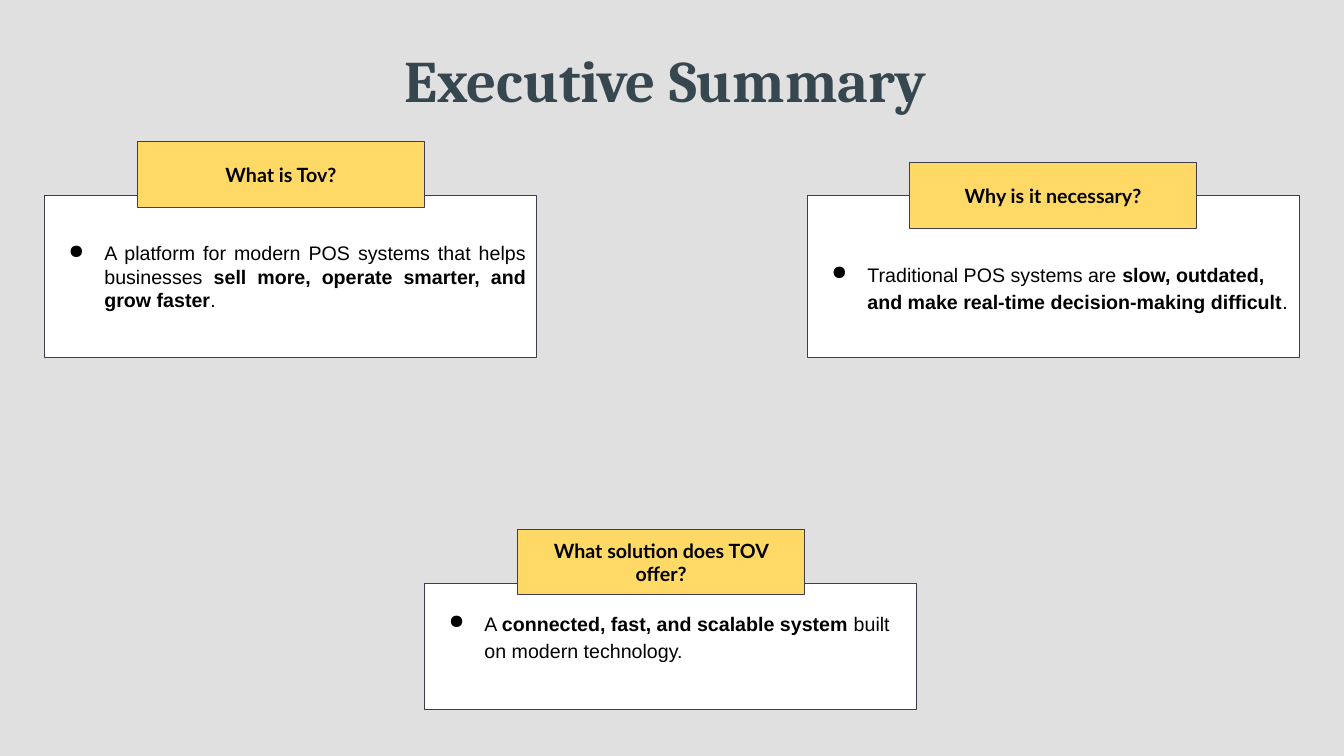
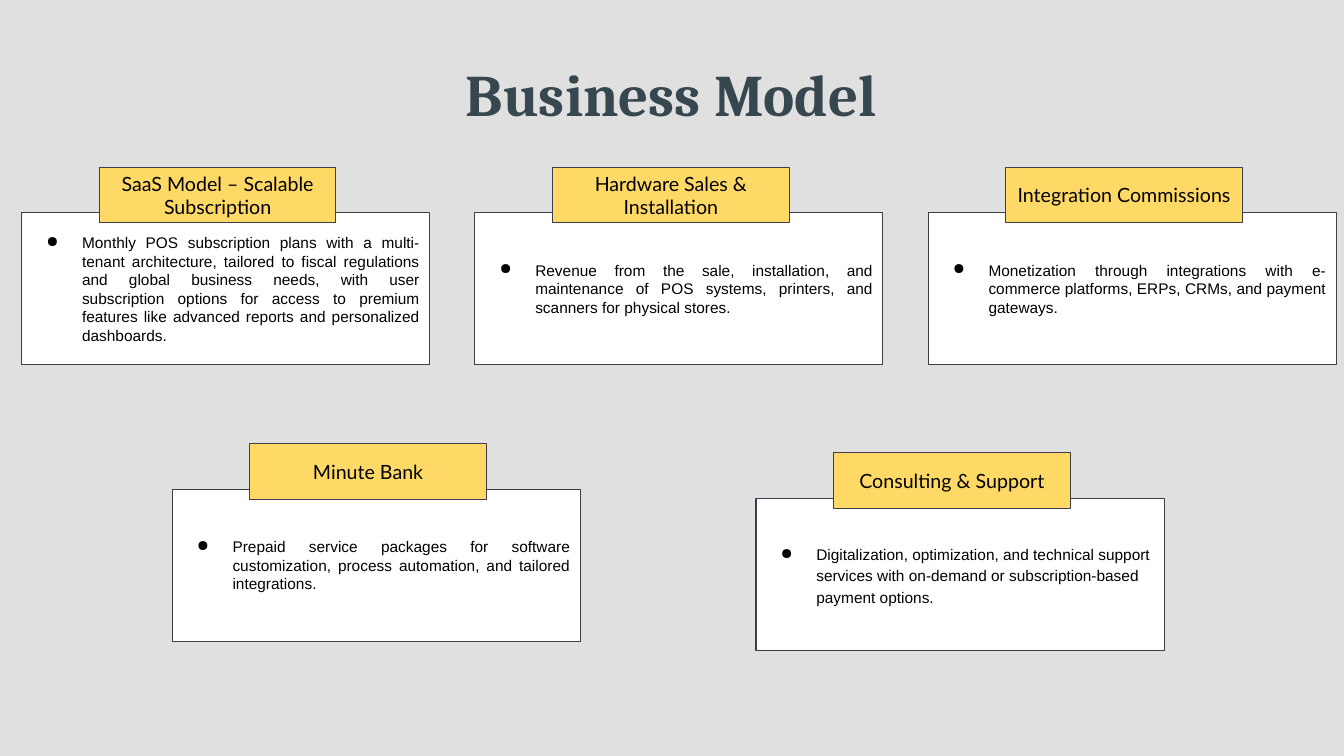
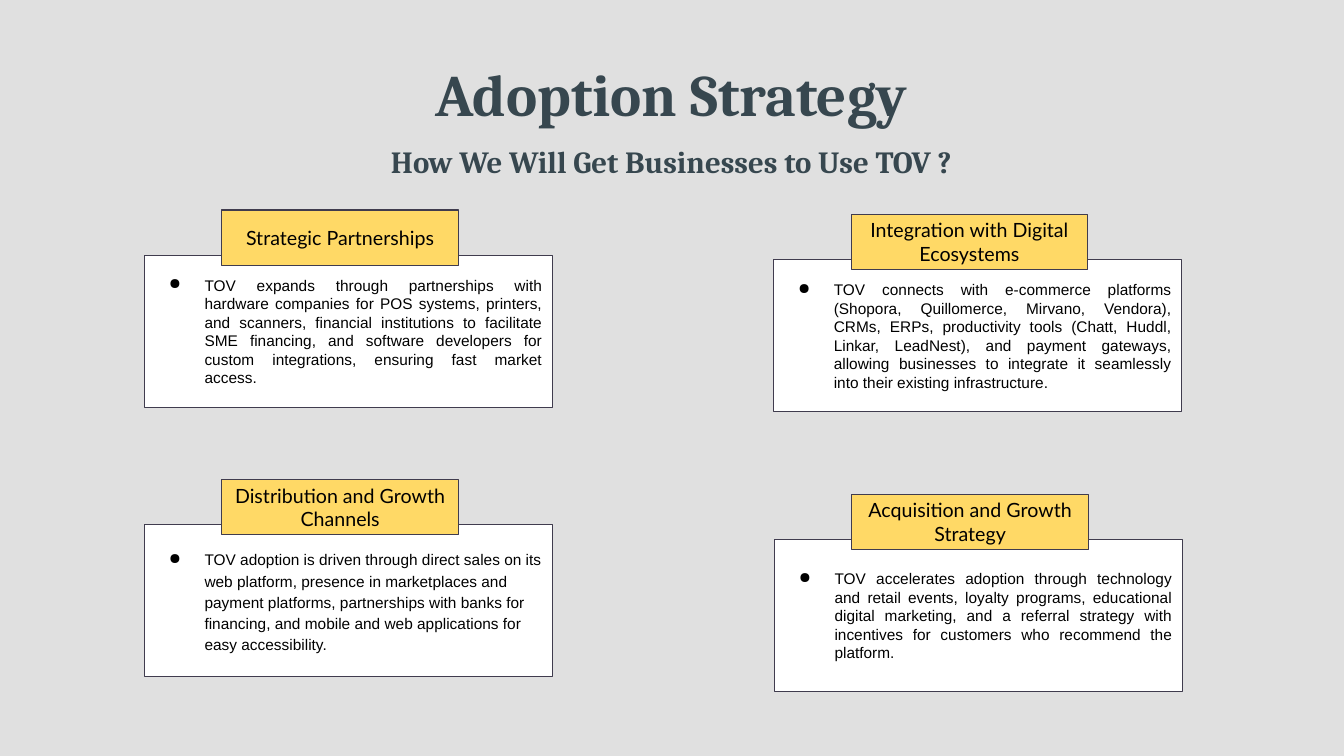
from pptx import Presentation
from pptx.dml.color import RGBColor
from pptx.enum.shapes import MSO_SHAPE
from pptx.enum.text import MSO_ANCHOR, PP_ALIGN
from pptx.oxml.ns import qn
from pptx.util import Pt
from lxml.etree import SubElement

BACKGROUND = RGBColor(0xE0, 0xE0, 0xE0)
SLATE = RGBColor(0x37, 0x47, 0x4F)
OUTLINE = RGBColor(0x40, 0x3C, 0x4E)
YELLOW = RGBColor(0xFF, 0xD9, 0x66)
WHITE = RGBColor(0xFF, 0xFF, 0xFF)
BLACK = RGBColor(0x00, 0x00, 0x00)

INSET = 7.2
LOOSE = 1.15
TITLE_BOX = (184, 34, 591, 62)
SUBTITLE_BOX = (184, 96.5, 591, 62)

SUMMARY_STYLE = {"tab_size": (204.5, 47), "size": 14, "bold_tab": True}
DETAIL_SIZE = (291.5, 108.5)
DETAIL_STYLE = {"tab_size": (169, 39.5), "size": 11, "bold_tab": False}
DETAIL_TAB = (55.5, -32.5)


def write_text(shape, runs, font="Arial", size=14, color=BLACK, bold=False,
               align=PP_ALIGN.LEFT, anchor=MSO_ANCHOR.MIDDLE, spacing=None,
               bullet=False, top=INSET, bottom=INSET):
    frame = shape.text_frame
    frame.word_wrap = True
    frame.vertical_anchor = anchor
    frame.margin_left = frame.margin_right = Pt(INSET)
    frame.margin_top, frame.margin_bottom = Pt(top), Pt(bottom)
    paragraph = frame.paragraphs[0]
    paragraph.alignment = align
    if spacing:
        paragraph.line_spacing = spacing
    if bullet:
        add_bullet(paragraph)
    for text, strong in [(runs, bold)] if isinstance(runs, str) else runs:
        run = paragraph.add_run()
        run.text = text
        run.font.name = font
        run.font.size = Pt(size)
        run.font.bold = strong
        run.font.color.rgb = color


def add_bullet(paragraph):
    properties = paragraph._p.get_or_add_pPr()
    properties.set("marL", str(Pt(36)))
    properties.set("indent", str(Pt(-25.5)))
    bullet_color = SubElement(properties, qn("a:buClr"))
    SubElement(bullet_color, qn("a:srgbClr")).set("val", str(BLACK))
    SubElement(properties, qn("a:buChar")).set("char", "●")


def add_heading(slide, box, text, size=42):
    shape = slide.shapes.add_textbox(*map(Pt, box))
    write_text(shape, text, font="Cambria", size=size, color=SLATE, bold=True,
               align=PP_ALIGN.CENTER, anchor=MSO_ANCHOR.TOP, spacing=1.07,
               top=3.6, bottom=3.6)


def add_panel(slide, box, fill):
    shape = slide.shapes.add_shape(MSO_SHAPE.RECTANGLE, *map(Pt, box))
    shape.shadow.inherit = False
    shape.fill.solid()
    shape.fill.fore_color.rgb = fill
    shape.line.color.rgb = OUTLINE
    shape.line.width = Pt(0.75)
    return shape


def add_card(slide, box, heading, body, tab_offset, tab_size, size, bold_tab,
             loose=False, top=INSET, bottom=INSET):
    panel = add_panel(slide, box, WHITE)
    write_text(panel, body, size=size, bullet=True, top=top, bottom=bottom,
               align=PP_ALIGN.LEFT if loose else PP_ALIGN.JUSTIFY,
               spacing=LOOSE if loose else None)
    tab_box = (box[0] + tab_offset[0], box[1] + tab_offset[1], *tab_size)
    tab = add_panel(slide, tab_box, YELLOW)
    write_text(tab, heading, font="Lato", bold=bold_tab, align=PP_ALIGN.CENTER)


def add_detail_card(slide, left, top, heading, body, loose=False):
    add_card(slide, (left, top, *DETAIL_SIZE), heading, body, DETAIL_TAB,
             loose=loose, **DETAIL_STYLE)


def add_slide(presentation, title, title_box=TITLE_BOX):
    slide = presentation.slides.add_slide(presentation.slide_layouts[6])
    slide.background.fill.solid()
    slide.background.fill.fore_color.rgb = BACKGROUND
    add_heading(slide, title_box, title)
    return slide


def build_summary(presentation):
    slide = add_slide(presentation, "Executive Summary", (232, 24.5, 486, 43))
    add_card(slide, (31.5, 139.5, 351.5, 116), "What is Tov?",
             [("A platform for modern POS systems that helps businesses ", False),
              ("sell more, operate smarter, and grow faster", True),
              (".", False)],
             (67, -38.5), **SUMMARY_STYLE)
    add_card(slide, (576.5, 139.5, 351.5, 116), "Why is it necessary?",
             [("Traditional POS systems are ", False),
              ("slow, outdated, and make real-time decision-making difficult", True),
              (".", False)],
             (73.5, -23.5), loose=True, top=21, **SUMMARY_STYLE)
    add_card(slide, (303, 416.5, 351.5, 90), "What solution does TOV offer?",
             [("A ", False),
              ("connected, fast, and scalable system", True),
              (" built on modern technology.", False)],
             (67, -38.5), loose=True, bottom=23, **SUMMARY_STYLE)


def build_business_model(presentation):
    slide = add_slide(presentation, "Business Model")
    revenue_streams = [
        ("SaaS Model – Scalable Subscription",
         "Monthly POS subscription plans with a multi-tenant architecture, "
         "tailored to fiscal regulations and global business needs, with user "
         "subscription options for access to premium features like advanced "
         "reports and personalized dashboards."),
        ("Hardware Sales & Installation",
         "Revenue from the sale, installation, and maintenance of POS systems, "
         "printers, and scanners for physical stores."),
        ("Integration Commissions",
         "Monetization through integrations with e-commerce platforms, ERPs, "
         "CRMs, and payment gateways."),
    ]
    for column, (heading, body) in enumerate(revenue_streams):
        add_detail_card(slide, 15.5 + 323.75 * column, 152, heading, body)
    add_detail_card(slide, 123, 349.5, "Minute Bank",
                    "Prepaid service packages for software customization, "
                    "process automation, and tailored integrations.")
    add_detail_card(slide, 540, 356, "Consulting & Support",
                    "Digitalization, optimization, and technical support "
                    "services with on-demand or subscription-based payment "
                    "options.", loose=True)


def build_adoption(presentation):
    slide = add_slide(presentation, "Adoption Strategy")
    add_heading(slide, SUBTITLE_BOX,
                "How We Will Get Businesses to Use TOV ?", size=22)
    left, right = 103, 552.5
    add_detail_card(slide, left, 182.5, "Strategic Partnerships",
                    "TOV expands through partnerships with hardware companies "
                    "for POS systems, printers, and scanners, financial "
                    "institutions to facilitate SME financing, and software "
                    "developers for custom integrations, ensuring fast market "
                    "access.")
    add_detail_card(slide, right, 185.5, "Integration with Digital Ecosystems",
                    "TOV connects with e-commerce platforms (Shopora, "
                    "Quillomerce, Mirvano, Vendora), CRMs, ERPs, productivity "
                    "tools (Chatt, Huddl, Linkar, LeadNest), and payment "
                    "gateways, allowing businesses to integrate it seamlessly "
                    "into their existing infrastructure.")
    add_detail_card(slide, left, 375, "Distribution and Growth Channels",
                    "TOV adoption is driven through direct sales on its web "
                    "platform, presence in marketplaces and payment platforms, "
                    "partnerships with banks for financing, and mobile and web "
                    "applications for easy accessibility.", loose=True)
    add_detail_card(slide, right + 0.5, 385.5, "Acquisition and Growth Strategy",
                    "TOV accelerates adoption through technology and retail "
                    "events, loyalty programs, educational digital marketing, "
                    "and a referral strategy with incentives for customers who "
                    "recommend the platform.")


def main():
    presentation = Presentation()
    presentation.slide_width = Pt(960)
    presentation.slide_height = Pt(540)
    build_summary(presentation)
    build_business_model(presentation)
    build_adoption(presentation)
    presentation.save("out.pptx")


if __name__ == "__main__":
    main()
